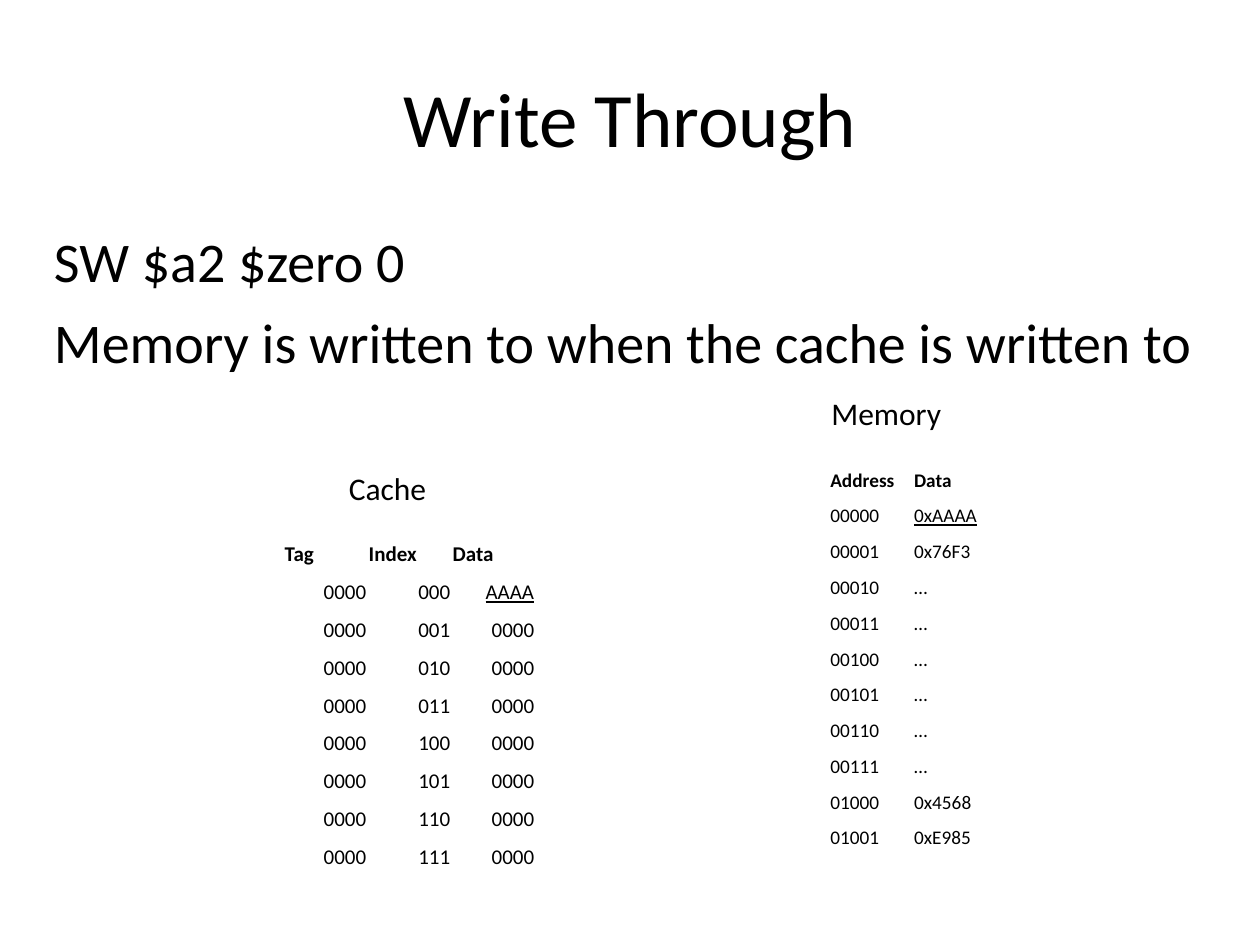
"""Build the Write Through slide with its cache and memory tables."""
import dataclasses

import pptx
import pptx.dml.color
import pptx.enum.text
import pptx.util

Inches = pptx.util.Inches
ALIGN = pptx.enum.text.PP_ALIGN
ANCHOR = pptx.enum.text.MSO_ANCHOR
FONT = "Calibri"
BLACK = "000000"


@dataclasses.dataclass
class Label:
    left: float
    top: float
    width: float
    height: float
    text: str
    size: int


@dataclasses.dataclass
class Grid:
    left: float
    top: float
    width: float
    height: float
    rows: list[tuple[str, ...]]
    size: int
    align: ALIGN
    written: str


CACHE = Grid(2.25, 4.25, 2, 1.89,
             [("Tag", "Index", "Data")]
             + [("0000", f"{index:03b}", "0000" if index else "AAAA") for index in range(8)],
             12, ALIGN.RIGHT, "AAAA")
MEMORY_DATA = ["0xAAAA", "0x76F3"] + ["…"] * 6 + ["0x4568", "0xE985"]
MEMORY = Grid(6.58, 3.67, 1.33, 2.48,
              [("Address", "Data")]
              + [(f"{address:05b}", value) for address, value in enumerate(MEMORY_DATA)],
              11, ALIGN.LEFT, "0xAAAA")
CAPTIONS = [Label(2.67, 3.67, 1.67, 0.4, "Cache", 18),
            Label(6.5, 3.08, 1.33, 0.4, "Memory", 18)]
BODY = Label(0.33, 1.75, 9.42, 4.95,
             "SW $a2 $zero 0\nMemory is written to when the cache is written to", 32)


def paint(font: pptx.text.text.Font, color: str) -> None:
    """Give a font a solid colour from a hex string."""
    font.color.rgb = pptx.dml.color.RGBColor.from_string(color)


def style_text(frame: pptx.text.text.TextFrame, size: int, align: ALIGN,
               bold: bool = False, underline: bool = False) -> None:
    """Format every run in a text frame."""
    for para in frame.paragraphs:
        para.alignment = align
        for span in para.runs:
            span.font.name = FONT
            span.font.size = pptx.util.Pt(size)
            span.font.bold = bold
            span.font.underline = underline
            paint(span.font, BLACK)


def add_label(page: pptx.slide.Slide, label: Label) -> pptx.text.text.TextFrame:
    """Add a wrapped text box and return its text frame."""
    box = page.shapes.add_textbox(Inches(label.left), Inches(label.top),
                                  Inches(label.width), Inches(label.height))
    box.text_frame.word_wrap = True
    box.text_frame.text = label.text
    style_text(box.text_frame, label.size, ALIGN.LEFT)
    return box.text_frame


def add_grid(page: pptx.slide.Slide, grid: Grid) -> None:
    """Add an unfilled table with a bold header row."""
    table = page.shapes.add_table(len(grid.rows), len(grid.rows[0]),
                                  Inches(grid.left), Inches(grid.top),
                                  Inches(grid.width), Inches(grid.height)).table
    table.first_row = False
    table.horz_banding = False
    for row, values in enumerate(grid.rows):
        for column, value in enumerate(values):
            cell = table.cell(row, column)
            cell.fill.background()
            cell.vertical_anchor = ANCHOR.BOTTOM
            cell.margin_left = cell.margin_right = Inches(0.01)
            cell.margin_top = cell.margin_bottom = Inches(0.05)
            cell.text_frame.text = value
            style_text(cell.text_frame, grid.size, grid.align if row else ALIGN.LEFT,
                       bold=row == 0, underline=value == grid.written)


def main() -> None:
    """Create and save the deck."""
    deck = pptx.Presentation()
    deck.slide_width, deck.slide_height = Inches(10), Inches(7.5)
    page = deck.slides.add_slide(deck.slide_layouts[5])

    title = page.shapes.title
    title.left, title.top = Inches(0.5), Inches(0.3)
    title.width, title.height = Inches(9), Inches(1.25)
    title.text_frame.text = "Write Through"
    title.text_frame.vertical_anchor = ANCHOR.MIDDLE
    style_text(title.text_frame, 44, ALIGN.CENTER)

    for para in add_label(page, BODY).paragraphs:
        para.space_before = pptx.util.Pt(8)
        properties = para._p.get_or_add_pPr()
        properties.set("marL", str(Inches(0.38)))
        properties.set("indent", str(-Inches(0.38)))

    for grid, caption in zip((CACHE, MEMORY), CAPTIONS):
        add_grid(page, grid)
        add_label(page, caption)
    deck.save("out.pptx")


if __name__ == "__main__":
    main()
